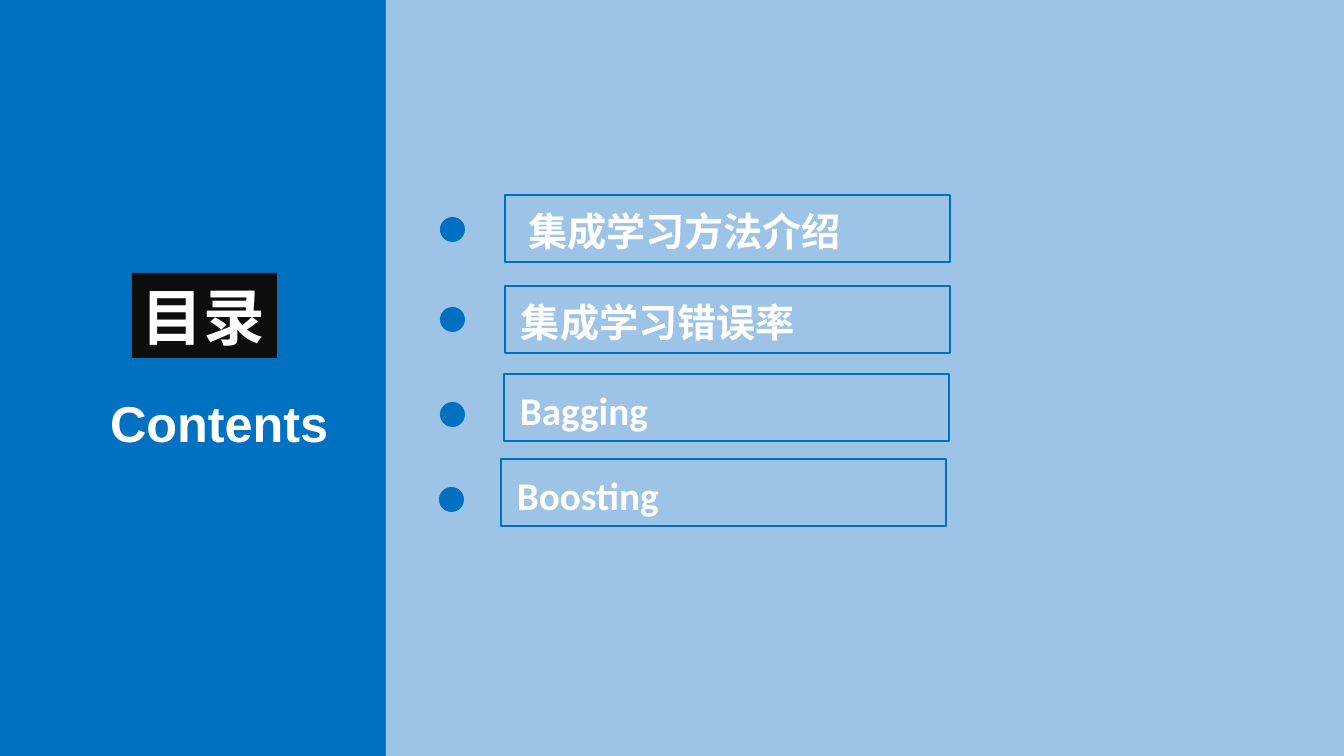
from lxml.etree import SubElement
from pptx import Presentation
from pptx.dml.color import RGBColor
from pptx.enum.shapes import MSO_SHAPE
from pptx.enum.text import MSO_ANCHOR, MSO_AUTO_SIZE, PP_ALIGN
from pptx.oxml.ns import qn
from pptx.util import Pt

# Content: text, box left, box top, left inset, dot left, dot top (px)
TITLE, SUBTITLE = "目录", "Contents"
ITEMS = [
    ("集成学习方法介绍", 505, 195, 23, 440, 217),
    ("集成学习错误率", 505, 286, 16, 440, 307),
    ("Bagging", 504, 374, 16, 440, 402),
    ("Boosting", 501, 459, 16, 439, 487),
]
BLUE, PALE, BLACK, WHITE = "0070C0", "9DC3E6", "0D0D0D", "FFFFFF"
CJK = "Noto Sans CJK SC"
BOX_W, BOX_H, DOT = 445, 67, 25


def px(n):
    return round(n * 914400 / 100.8)


def color(value):
    return RGBColor.from_string(value)


def add_shape(kind, x, y, w, h, fill, line=None):
    sp = slide.shapes.add_shape(kind, px(x), px(y), px(w), px(h))
    sp.shadow.inherit = False
    sp.fill.solid()
    sp.fill.fore_color.rgb = color(fill)
    if line:
        sp.line.color.rgb = color(line)
        sp.line.width = Pt(1)
    else:
        sp.line.fill.background()
    return sp


def write(sp, text, size, font, anchor, inset=10, wrap=True):
    tf = sp.text_frame
    tf.text = text
    tf.word_wrap = wrap
    tf.auto_size = MSO_AUTO_SIZE.NONE
    tf.vertical_anchor = anchor
    tf.margin_left, tf.margin_right = px(inset), px(10)
    tf.margin_top = tf.margin_bottom = px(5)
    p = tf.paragraphs[0]
    p.alignment = PP_ALIGN.LEFT
    r = p.runs[0]
    r.font.size = Pt(size)
    r.font.bold = True
    r.font.name = font
    r.font.color.rgb = color(WHITE)
    SubElement(r.font._element, qn("a:ea")).set("typeface", CJK)
    return p


prs = Presentation()
prs.slide_width, prs.slide_height = px(1344), px(756)
slide = prs.slides.add_slide(prs.slide_layouts[5])

# Background panels
add_shape(MSO_SHAPE.RECTANGLE, 0, 0, 386, 756, BLUE)
add_shape(MSO_SHAPE.RECTANGLE, 386, 0, 958, 756, PALE)

# Title on its black block, brought in front of the panels
title = slide.shapes.title
title.left, title.top, title.width, title.height = px(132), px(273), px(145), px(85)
title.fill.solid()
title.fill.fore_color.rgb = color(BLACK)
p = write(title, TITLE, 44, CJK, MSO_ANCHOR.MIDDLE, wrap=False)
p.line_spacing = 1.0
slide.shapes._spTree.append(title._element)

# Subtitle
subtitle = slide.shapes.add_textbox(px(100), px(387), px(241), px(71))
write(subtitle, SUBTITLE, 36, "Arial", MSO_ANCHOR.TOP, wrap=False)

# Agenda: a dot and an outlined box for each item
for text, x, y, inset, dot_x, dot_y in ITEMS:
    add_shape(MSO_SHAPE.OVAL, dot_x, dot_y, DOT, DOT, BLUE)
    box = add_shape(MSO_SHAPE.RECTANGLE, x, y, BOX_W, BOX_H, PALE, BLUE)
    fill = box.fill._xPr.find(qn("a:solidFill"))
    SubElement(fill[0], qn("a:alpha")).set("val", "50000")
    p = write(box, text, 28, "Calibri", MSO_ANCHOR.MIDDLE, inset)
    p.line_spacing = 1.1
    p.space_before = Pt(5)

prs.save("out.pptx")
